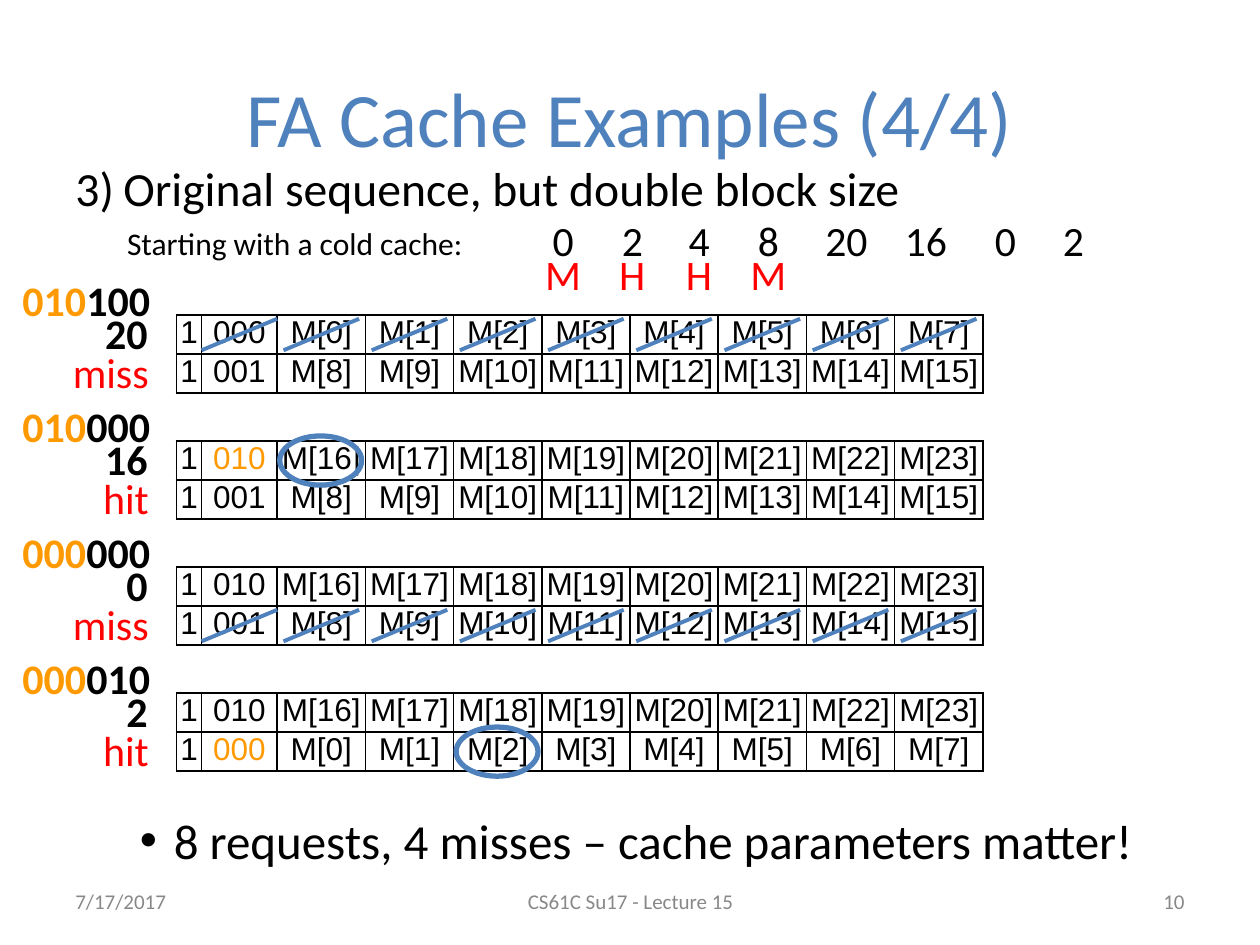
from lxml.etree import SubElement
from pptx import Presentation
from pptx.dml.color import RGBColor
from pptx.enum.shapes import MSO_CONNECTOR, MSO_SHAPE
from pptx.enum.text import MSO_ANCHOR, PP_ALIGN
from pptx.oxml.ns import qn
from pptx.util import Inches, Pt

BLACK, WHITE, BLUE = "000000", "FFFFFF", "4F81BD"
RED, ORANGE, GREY = "FF0000", "FF9900", "888888"
LEFT, CENTER, RIGHT = PP_ALIGN.LEFT, PP_ALIGN.CENTER, PP_ALIGN.RIGHT

COLS = [0.2, 0.6] + [0.7] * 8
ROW = 0.31
TABLE_LEFT, TABLE_TOP, STEP = 1.4, 2.5, 1.0
REQUEST_X = [4.47, 5.02, 5.55, 6.1, 6.72, 7.35, 7.98, 8.52]

# tag bits, offset bits, address, result, rows as (tag, first byte),
# row with a new tag, row struck out, circled (row, column)
STEPS = [
    ("010", "100", "20", "miss", [("000", 0), ("001", 8)], None, 0, None),
    ("010", "000", "16", "hit", [("010", 16), ("001", 8)], 0, None, (0, 2)),
    ("000", "000", "0", "miss", [("010", 16), ("001", 8)], None, 1, None),
    ("000", "010", "2", "hit", [("010", 16), ("000", 0)], 1, None, (1, 4)),
]


def rgb(value):
    return RGBColor.from_string(value)


def style(r, size, color, bold=False, font="Calibri"):
    r.font.size, r.font.name, r.font.bold = Pt(size), font, bold
    r.font.color.rgb = rgb(color)


def add_text(s, box, parts, size, align=LEFT, bold=False, anchor=MSO_ANCHOR.TOP):
    """Add a one-paragraph text box from (text, color) parts."""
    tf = s.shapes.add_textbox(*map(Inches, box)).text_frame
    tf.word_wrap, tf.vertical_anchor = True, anchor
    p = tf.paragraphs[0]
    p.alignment = align
    for text, color in parts:
        r = p.add_run()
        r.text = text
        style(r, size, color, bold)
    return tf


def set_bullet(p, margin, hang, tag, **attrs):
    pPr = p._p.get_or_add_pPr()
    pPr.set("marL", str(Inches(margin)))
    pPr.set("indent", str(-Inches(hang)))
    color = SubElement(pPr, qn("a:buClr"))
    SubElement(color, qn("a:srgbClr"), val=BLACK)
    SubElement(pPr, qn("a:buFont"), typeface="Arial" if tag == "a:buChar" else "Calibri")
    SubElement(pPr, qn(tag), **attrs)


def set_center_tabs(p, stops):
    tabs = SubElement(p._p.get_or_add_pPr(), qn("a:tabLst"))
    for x in stops:
        SubElement(tabs, qn("a:tab"), pos=str(Inches(x)), algn="ctr")


def add_title(s, box, text):
    title = s.shapes.title
    title.left, title.top, title.width, title.height = map(Inches, box)
    tf = title.text_frame
    tf.text, tf.vertical_anchor = text, MSO_ANCHOR.MIDDLE
    tf.paragraphs[0].alignment = CENTER
    style(tf.paragraphs[0].runs[0], 44, BLUE)


def add_requests(s, box):
    """Add the numbered heading, the address sequence and its first results."""
    x, y, w, h = box
    tf = add_text(s, box, [("Original sequence, but double block size", BLACK)], 27.2)
    p = tf.paragraphs[0]
    p.line_spacing = 0.8
    set_bullet(p, 0.38, 0.38, "a:buAutoNum", type="arabicParenR", startAt="3")
    p = tf.add_paragraph()
    p.line_spacing, p.space_before = 0.8, Pt(4.8)
    r = p.add_run()
    r.text = "".join(f"\t{a}" for a in [0, 2, 4, 8, 20, 16, 0, 2])
    style(r, 23.8, BLACK)
    set_center_tabs(p, [stop - x - 0.1 for stop in REQUEST_X])

    add_text(s, (x + 0.41, y + 0.43, 3.75, 0.4),
             [("Starting with a cold cache:", BLACK)], 18)
    results_x = x + 3.72
    tf = add_text(s, (results_x, y + 0.62, 4.8, 0.5), [("\tM\tH\tH\tM", RED)], 24)
    set_center_tabs(tf.paragraphs[0], [stop - results_x - 0.1 for stop in REQUEST_X[:4]])


def format_cell(cell, text, color):
    cell.text = text
    cell.margin_left = cell.margin_right = cell.margin_top = cell.margin_bottom = 0
    p = cell.text_frame.paragraphs[0]
    p.alignment = CENTER
    style(p.runs[0], 18, color, font="Arial")
    tcPr = cell._tc.get_or_add_tcPr()
    for side in "LRTB":
        line = SubElement(tcPr, qn(f"a:ln{side}"), w=str(Pt(1)))
        fill = SubElement(line, qn("a:solidFill"))
        SubElement(fill, qn("a:srgbClr"), val=BLACK)
    cell.fill.solid()
    cell.fill.fore_color.rgb = rgb(WHITE)


def add_cache(s, x, y, rows, new_tag_row):
    table = s.shapes.add_table(len(rows), len(COLS), Inches(x), Inches(y),
                               Inches(sum(COLS)), Inches(ROW * len(rows))).table
    table.first_row = table.horz_banding = False
    for column, width in zip(table.columns, COLS):
        column.width = Inches(width)
    for i, (tag, first) in enumerate(rows):
        table.rows[i].height = Inches(ROW)
        texts = ["1", tag] + [f"M[{first + k}]" for k in range(8)]
        for j, text in enumerate(texts):
            color = ORANGE if (i, j) == (new_tag_row, 1) else BLACK
            format_cell(table.cell(i, j), text, color)


def strike_row(s, x, y):
    """Strike out the tag and the bytes of the row whose top left is x, y."""
    for j in range(1, len(COLS)):
        left = x + sum(COLS[:j]) + (COLS[j] - 0.6) / 2
        line = s.shapes.add_connector(MSO_CONNECTOR.STRAIGHT, Inches(left), Inches(y + 0.28),
                                      Inches(left + 0.6), Inches(y + 0.03))
        line.line.color.rgb, line.line.width = rgb(BLUE), Pt(2.25)
        SubElement(line._element.spPr, qn("a:effectLst"))


def circle_cell(s, x, y):
    sp = s.shapes.add_shape(MSO_SHAPE.OVAL, Inches(x + 0.02), Inches(y - 0.04),
                            Inches(0.65), Inches(0.39))
    sp.shadow.inherit = False
    sp.fill.background()
    sp.line.color.rgb, sp.line.width = rgb(BLUE), Pt(3)


def add_step(s, x, y, step):
    """Add one request: its labels left of x and the cache table at x, y."""
    tag, offset, address, result, rows, new_tag_row, struck, circled = step
    add_cache(s, x, y, rows, new_tag_row)
    label = x - 1.32
    add_text(s, (label, y - 0.11, 1.19, 0.5), [(address, BLACK)], 24, RIGHT, True)
    add_text(s, (label, y + 0.2, 1.2, 0.5), [(result, RED)], 24, RIGHT)
    add_text(s, (label, y - 0.37, 1.32, 0.5), [(tag, ORANGE), (offset, BLACK)], 24, bold=True)
    if struck is not None:
        strike_row(s, x, y + struck * ROW)
    if circled:
        row, col = circled
        circle_cell(s, x + sum(COLS[:col]), y + row * ROW)


def add_conclusion(s, box):
    tf = add_text(s, box, [("8 requests, 4 misses – cache parameters matter!", BLACK)], 28)
    tf.margin_left = tf.margin_right = Inches(0.07)
    tf.margin_top = tf.margin_bottom = Inches(0.03)
    set_bullet(tf.paragraphs[0], 0.81, 0.27, "a:buChar", char="•")


def add_footer(s, y, h):
    for x, w, text, align in [(0.5, 2.33, "7/17/2017", LEFT),
                              (3.42, 3.17, "CS61C Su17 - Lecture 15", CENTER),
                              (7.17, 2.33, "10", RIGHT)]:
        add_text(s, (x, y, w, h), [(text, GREY)], 12, align, anchor=MSO_ANCHOR.MIDDLE)


def main():
    prs = Presentation()
    prs.slide_width, prs.slide_height = Inches(10), Inches(7.5)
    s = prs.slides.add_slide(prs.slide_layouts[5])
    add_title(s, (0.5, 0.3, 9, 1.25), "FA Cache Examples (4/4)")
    add_requests(s, (0.5, 1.3, 8.58, 0.89))
    for i, step in enumerate(STEPS):
        add_step(s, TABLE_LEFT, TABLE_TOP + i * STEP, step)
    add_conclusion(s, (0.5, 6.4, 8.92, 0.53))
    add_footer(s, 6.95, 0.4)
    prs.save("out.pptx")


if __name__ == "__main__":
    main()
